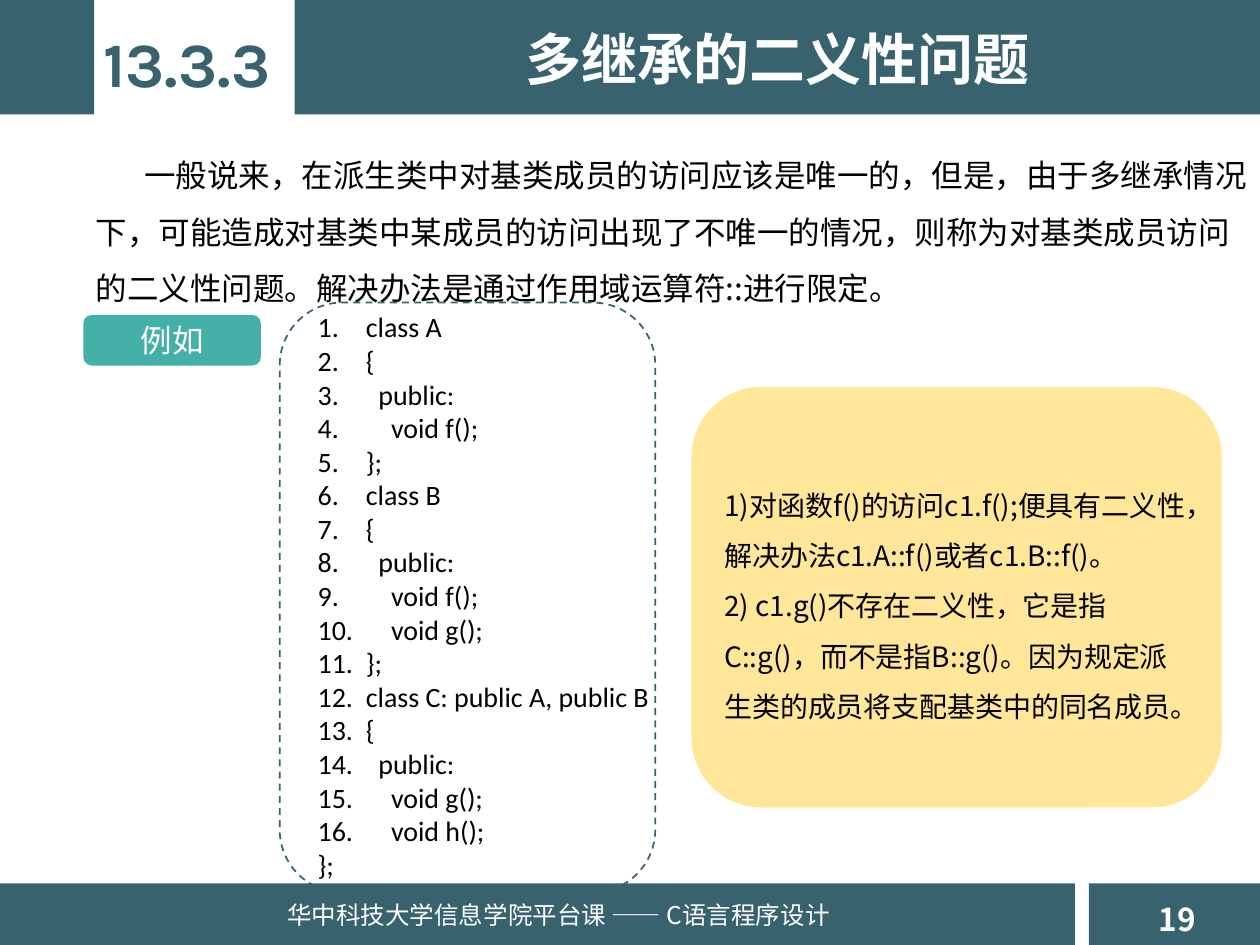
from lxml.etree import SubElement
from pptx import Presentation
from pptx.dml.color import RGBColor
from pptx.enum.dml import MSO_LINE
from pptx.enum.shapes import MSO_SHAPE as Preset
from pptx.enum.text import MSO_ANCHOR as Anchor, MSO_AUTO_SIZE as AutoSize, PP_ALIGN as Align
from pptx.oxml.ns import qn
from pptx.util import Cm, Pt

SLATE, TEAL, SAND, WHITE, BLACK = "39626F", "45B0A8", "FFE699", "FFFFFF", "000000"
HAN, CODE, DISPLAY = "Noto Sans CJK SC", "Calibri", "Karla"

INTRO = ("一般说来，在派生类中对基类成员的访问应该是唯一的，但是，由于多继承情况下，"
         "可能造成对基类中某成员的访问出现了不唯一的情况，则称为对基类成员访问的二义性问题。"
         "解决办法是通过作用域运算符::进行限定。")
NOTES = [
    "1)对函数f()的访问c1.f();便具有二义性，解决办法c1.A::f()或者c1.B::f()。",
    "2) c1.g()不存在二义性，它是指C::g()，而不是指B::g()。因为规定派生类的成员将支配基类中的同名成员。",
]
NUMBERED_CODE = [
    "class A",
    "{",
    "  public:",
    "    void f();",
    "};",
    "class B",
    "{",
    "  public:",
    "    void f();",
    "    void g();",
    "};",
    "class C: public A, public B",
    "{",
    "  public:",
    "    void g();",
    "    void h();",
]
CLOSING_CODE = "};"


def color(hex_value):
    return RGBColor.from_string(hex_value)


class SlideBuilder:
    def __init__(self, slide):
        self.slide = slide

    def place(self, shape, box):
        shape.left, shape.top, shape.width, shape.height = map(Cm, box)

    def add_styled_run(self, paragraph, text, size, fill, font=HAN, bold=False):
        run = paragraph.add_run()
        run.text = text
        run.font.name, run.font.size, run.font.bold = font, Pt(size), bold
        run.font.color.rgb = color(fill)
        SubElement(run.font._element, qn("a:ea")).set("typeface", font)

    def fill_frame(self, frame, lines, size, fill, align=Align.LEFT, spacing=1.0,
                   anchor=Anchor.TOP, wrap=True, **font):
        frame.word_wrap, frame.vertical_anchor = wrap, anchor
        frame.auto_size = AutoSize.NONE
        for index, line in enumerate(lines):
            paragraph = frame.add_paragraph() if index else frame.paragraphs[0]
            paragraph.alignment, paragraph.line_spacing = align, spacing
            paragraph.space_before = Pt(0)
            self.add_styled_run(paragraph, line, size, fill, **font)

    def panel(self, box, preset=Preset.RECTANGLE, fill=None, outline=None):
        shape = self.slide.shapes.add_shape(preset, *map(Cm, box))
        shape.shadow.inherit = False
        if fill:
            shape.fill.solid()
            shape.fill.fore_color.rgb = color(fill)
        else:
            shape.fill.background()
        if outline:
            shape.line.color.rgb = color(outline)
            shape.line.width, shape.line.dash_style = Pt(1), MSO_LINE.DASH
        else:
            shape.line.fill.background()
        return shape

    def text(self, box, lines, size, fill, **style):
        label = self.slide.shapes.add_textbox(*map(Cm, box))
        self.fill_frame(label.text_frame, lines, size, fill, **style)
        return label

    def placeholder(self, index, box, lines, size, fill, **style):
        """Fill a template placeholder and bring it in front of the shapes so far."""
        holder = self.slide.placeholders[index]
        self.place(holder, box)
        holder.element.getparent().append(holder.element)
        self.fill_frame(holder.text_frame, lines, size, fill, **style)
        return holder

    def set_list(self, paragraph, numbered):
        hanging = Cm(0.97) if numbered else 0
        properties = paragraph._p.get_or_add_pPr()
        properties.set("marL", str(int(hanging)))
        properties.set("indent", str(-int(hanging)))
        if numbered:
            SubElement(properties, qn("a:buFont")).set("typeface", "+mj-lt")
            SubElement(properties, qn("a:buAutoNum")).set("type", "arabicPeriod")
            tabs = SubElement(properties, qn("a:tabLst"))
            tab = SubElement(tabs, qn("a:tab"))
            tab.set("pos", str(int(Cm(1.27))))
            tab.set("algn", "l")
        else:
            SubElement(properties, qn("a:buNone"))


def main():
    deck = Presentation()
    deck.slide_width, deck.slide_height = Cm(25.4), Cm(19.05)
    page = SlideBuilder(deck.slides.add_slide(deck.slide_layouts[1]))

    header_height, footer_top, footer_height = 2.31, 17.81, 1.24
    for left, width in ((0, 1.9), (5.94, 19.46)):
        page.panel((left, 0, width, header_height), fill=SLATE)
    for left, width in ((0, 21.67), (21.95, 3.45)):
        page.panel((left, footer_top, width, footer_height), fill=SLATE)

    page.text((23.11, 18.01, 1.4, 1.02), ["19"], 18, WHITE, bold=True, wrap=False)
    page.text((5.54, 18.01, 11.68, 0.86), ["华中科技大学信息学院平台课 —— C语言程序设计"],
              14, WHITE, wrap=False)
    page.text((1.68, 0.36, 4.17, 1.8), ["13.3.3"], 36, SLATE,
              align=Align.CENTER, font=DISPLAY, bold=True, wrap=False)
    page.placeholder(0, (8.03, 0.36, 15.29, 1.63), ["多继承的二义性问题"], 32, WHITE,
                     align=Align.CENTER, bold=True)

    intro = page.text((1.68, 2.64, 23.72, 3.71), [INTRO], 18, BLACK, spacing=1.5)
    first_line = intro.text_frame.paragraphs[0]._p.get_or_add_pPr()
    first_line.set("indent", str(int(Cm(0.98))))

    code = page.placeholder(1, (6.15, 6.12, 7.44, 12.32), NUMBERED_CODE + [CLOSING_CODE],
                            16, BLACK, align=Align.JUSTIFY, font=CODE)
    *numbered, closing = code.text_frame.paragraphs
    for paragraph in numbered:
        page.set_list(paragraph, numbered=True)
    page.set_list(closing, numbered=False)
    closing.alignment = Align.LEFT

    rounded = Preset.ROUNDED_RECTANGLE
    page.panel((5.64, 6.1, 7.57, 11.89), rounded, outline=SLATE)
    example = page.panel((1.68, 6.35, 3.58, 1.02), rounded, fill=TEAL)
    page.fill_frame(example.text_frame, ["例如"], 18, WHITE,
                    align=Align.CENTER, anchor=Anchor.MIDDLE)
    explanation = page.panel((13.94, 7.8, 10.69, 8.48), rounded, fill=SAND)
    page.fill_frame(explanation.text_frame, NOTES, 16, BLACK,
                    spacing=1.5, anchor=Anchor.MIDDLE)

    deck.save("out.pptx")


if __name__ == "__main__":
    main()
